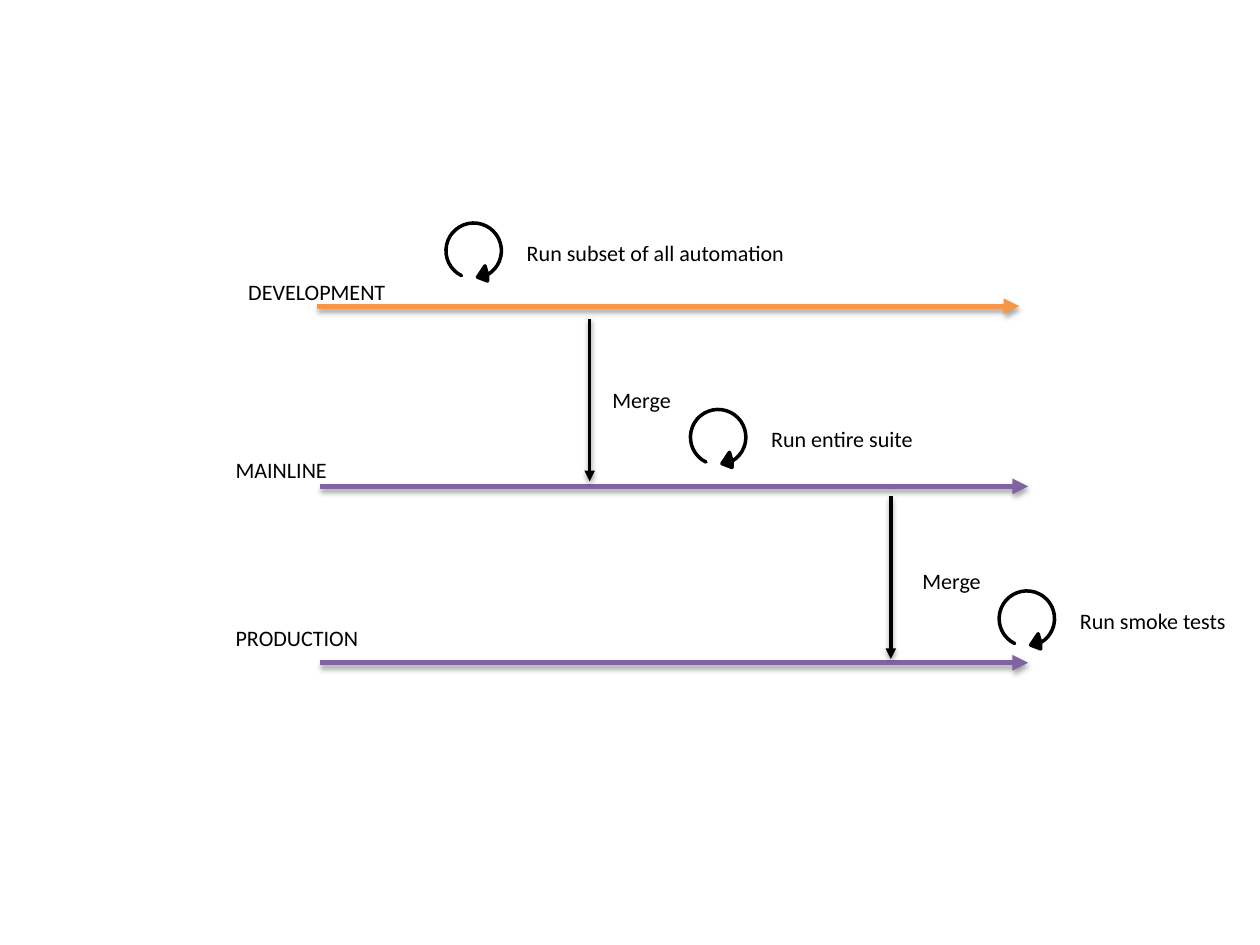
from dataclasses import dataclass
from math import cos, radians, sin, tan

from lxml.etree import SubElement
from pptx import Presentation
from pptx.dml.color import RGBColor
from pptx.enum.shapes import MSO_CONNECTOR
from pptx.enum.text import MSO_AUTO_SIZE
from pptx.oxml.ns import qn
from pptx.util import Inches, Pt

BLACK = RGBColor(0x00, 0x00, 0x00)
ORANGE = RGBColor(0xF7, 0x96, 0x46)
PURPLE = RGBColor(0x80, 0x64, 0xA2)

FONT = {"name": "Calibri", "size": Pt(12.6)}
RADIUS = 0.22
RING_START, RING_SWEEP, RING_CURVES = 116, 304, 4  # degrees, clockwise
HEAD = [(0.11, 0.24), (0.03, 0.21), (0.09, 0.12)]  # from the ring's centre


@dataclass
class Branch:
    name: str
    label_x: float
    label_y: float
    label_width: float
    x1: float
    x2: float
    y: float
    color: RGBColor


@dataclass
class Merge:
    x: float
    y1: float
    y2: float
    label_x: float
    label_y: float


@dataclass
class TestRun:
    text: str
    x: float
    y: float
    width: float


BRANCHES = [
    Branch("DEVELOPMENT", 1.93, 2.16, 1.22, 2.52, 8.09, 2.43, ORANGE),
    Branch("MAINLINE", 1.83, 3.57, 0.86, 2.54, 8.16, 3.86, PURPLE),
    Branch("PRODUCTION", 1.83, 4.91, 1.11, 2.54, 8.16, 5.26, PURPLE),
]
MERGES = [
    Merge(7.07, 3.94, 5.23, 7.28, 4.46),
    Merge(4.68, 2.53, 3.82, 4.82, 3.03),
]
TEST_RUNS = [
    TestRun("Run subset of all automation", 3.76, 1.99, 2.18),
    TestRun("Run entire suite", 5.70, 3.47, 1.26),
    TestRun("Run smoke tests", 8.15, 4.91, 1.29),
]


def add_label(shapes, text: str, x: float, y: float, w: float, h: float, inset: float) -> None:
    tf = shapes.add_textbox(Inches(x), Inches(y), Inches(w), Inches(h)).text_frame
    frame = {
        "margin_left": Inches(0.04), "margin_right": Inches(0.04),
        "margin_top": Inches(inset), "margin_bottom": Inches(inset),
        "word_wrap": False, "auto_size": MSO_AUTO_SIZE.SHAPE_TO_FIT_TEXT,
    }
    for key, value in frame.items():
        setattr(tf, key, value)
    r = tf.paragraphs[0].add_run()
    r.text = text
    for key, value in FONT.items():
        setattr(r.font, key, value)
    r.font.color.rgb = BLACK


def add_arrow(shapes, x1: float, y1: float, x2: float, y2: float, color: RGBColor,
              width: float, shadow_gap: float, shadow_alpha: int) -> None:
    c = shapes.add_connector(MSO_CONNECTOR.STRAIGHT, Inches(x1), Inches(y1), Inches(x2), Inches(y2))
    c.line.color.rgb = color
    c.line.width = Pt(width)
    SubElement(c.line._get_or_add_ln(), qn("a:tailEnd"), type="triangle")
    # Soft shadow straight below the line
    effects = SubElement(c._element.spPr, qn("a:effectLst"))
    shadow = SubElement(effects, qn("a:outerShdw"), blurRad=str(Pt(3)),
                        dist=str(Pt(shadow_gap)), dir="5400000", rotWithShape="0")
    rgb = SubElement(shadow, qn("a:srgbClr"), val=str(BLACK))
    SubElement(rgb, qn("a:alpha"), val=str(shadow_alpha * 1000))


def arc_points() -> list[tuple[float, float]]:
    """Start point, then three Bezier points for each curve of the ring."""
    step = radians(RING_SWEEP / RING_CURVES)
    k = 4 / 3 * tan(step / 4)
    a = radians(RING_START)
    points = [(cos(a), sin(a))]
    for _ in range(RING_CURVES):
        b = a + step
        points += [(cos(a) - k * sin(a), sin(a) + k * cos(a)),
                   (cos(b) + k * sin(b), sin(b) - k * cos(b)),
                   (cos(b), sin(b))]
        a = b
    return [(RADIUS * x, RADIUS * y) for x, y in points]


def curve_lines(lines: list) -> None:
    """Turn each three line segments of an outline into one Bezier curve."""
    for i in range(0, len(lines), 3):
        curve = lines[i].makeelement(qn("a:cubicBezTo"))
        lines[i].addprevious(curve)
        for line in lines[i:i + 3]:
            curve.append(line[0])
            line.getparent().remove(line)


def add_ring(shapes, x: float, y: float) -> None:
    """Circular arrow: along the arc, round the head, and back."""
    arc = arc_points()
    points = [(Inches(x + dx), Inches(y + dy)) for dx, dy in arc + HEAD + arc[::-1]]
    builder = shapes.build_freeform(*points[0])
    builder.add_line_segments(points[1:], close=True)
    sp = builder.convert_to_shape()
    lines = list(sp._element.iter(qn("a:lnTo")))
    size = 3 * RING_CURVES
    back = size + len(HEAD) + 1
    curve_lines(lines[:size])
    curve_lines(lines[back:back + size])
    sp.shadow.inherit = False
    sp.fill.solid()
    sp.fill.fore_color.rgb = BLACK
    sp.line.color.rgb = BLACK
    sp.line.width = Pt(2)


def main() -> None:
    prs = Presentation()
    prs.slide_width, prs.slide_height = Inches(10), Inches(7.5)
    s = prs.slides.add_slide(prs.slide_layouts[6])

    # Branch timelines and their names
    for b in BRANCHES:
        add_arrow(s.shapes, b.x1, b.y, b.x2, b.y, b.color, 3, 1.8, 35)
    for b in BRANCHES:
        add_label(s.shapes, b.name, b.label_x, b.label_y, b.label_width, 0.31, 0.05)

    # Merges from one branch down to the next
    for m in MERGES:
        group = s.shapes.add_group_shape().shapes
        add_arrow(group, m.x, m.y1, m.x, m.y2, BLACK, 2, 1.6, 38)
        add_label(group, "Merge", m.label_x, m.label_y, 0.59, 0.28, 0.04)

    # Test runs on each branch
    for t in TEST_RUNS:
        group = s.shapes.add_group_shape().shapes
        add_ring(group, t.x, t.y)
        add_label(group, t.text, t.x + 0.38, t.y - 0.13, t.width, 0.28, 0.04)

    prs.save("out.pptx")


if __name__ == "__main__":
    main()
